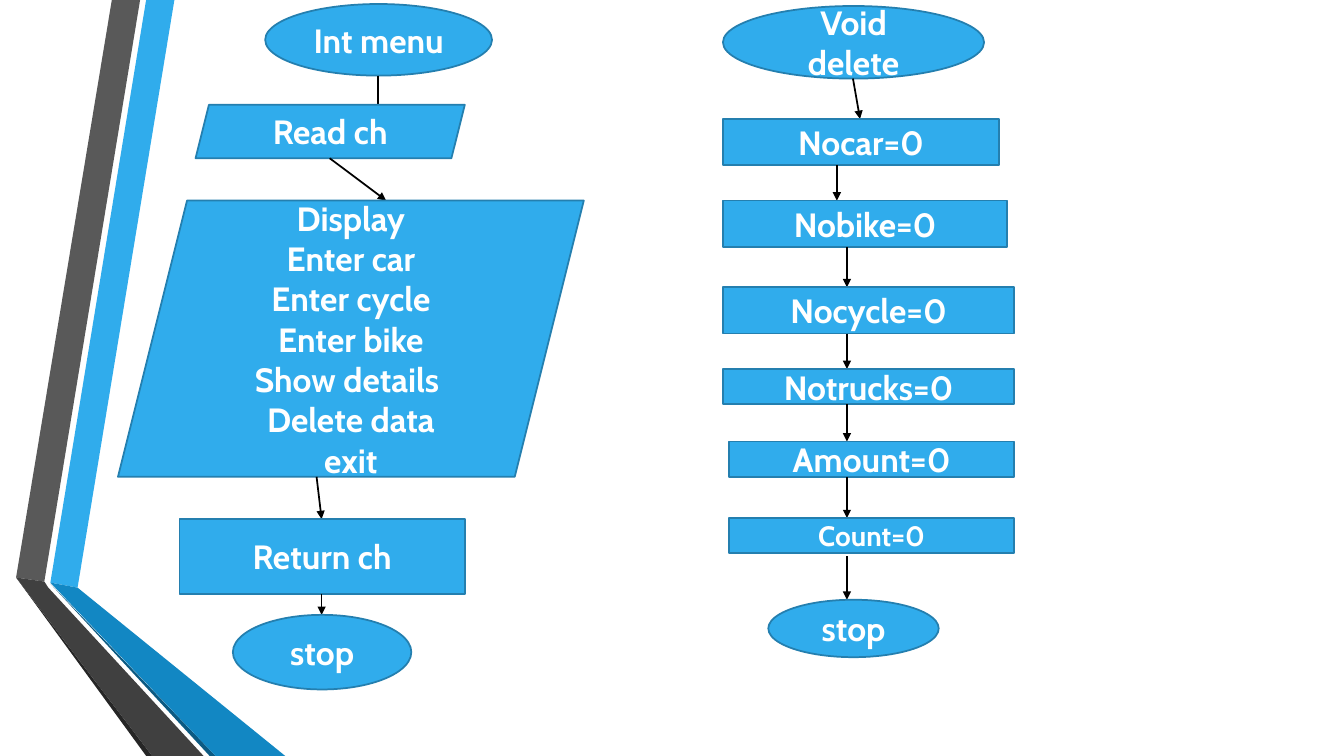
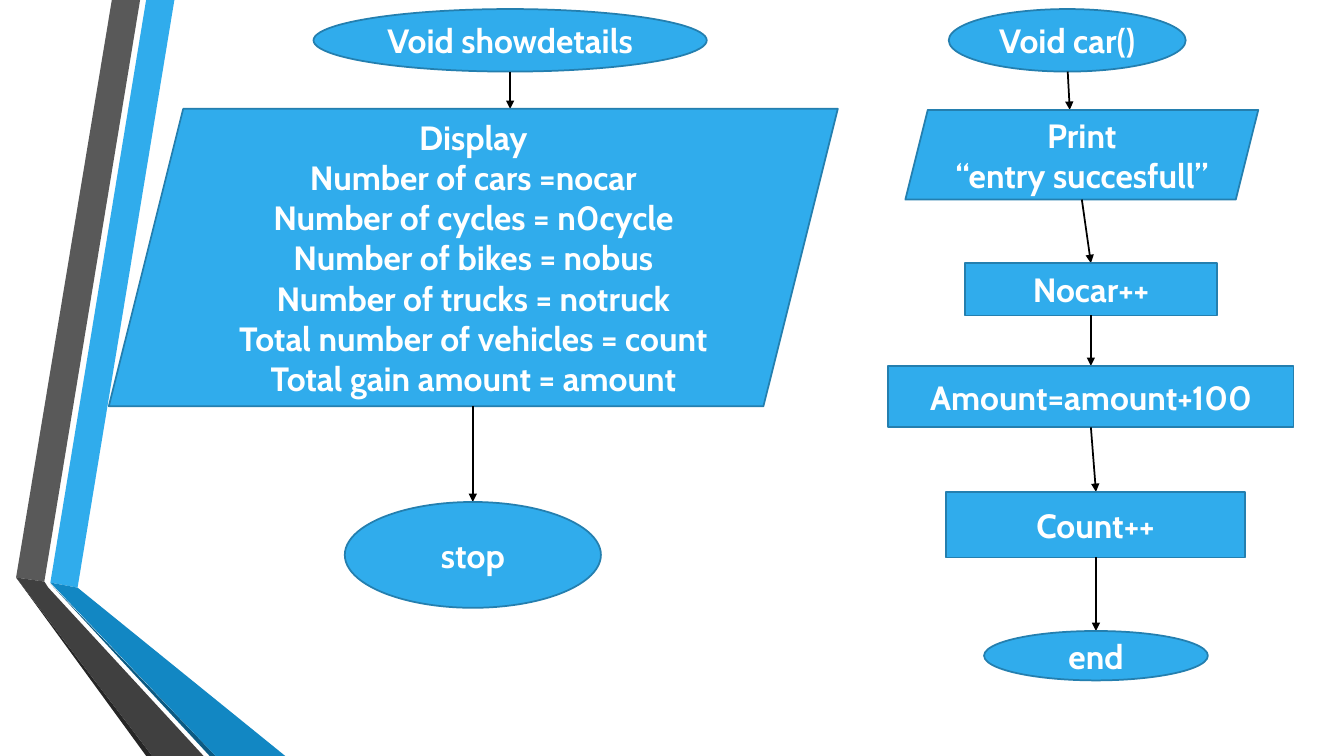
from dataclasses import dataclass

from lxml.etree import SubElement
from pptx import Presentation
from pptx.dml.color import RGBColor
from pptx.enum.shapes import MSO_CONNECTOR as Connector, MSO_SHAPE as Shape
from pptx.enum.text import MSO_ANCHOR as Anchor, PP_ALIGN as Align
from pptx.oxml.ns import qn
from pptx.util import Inches, Pt


@dataclass(frozen=True)
class Theme:
    font: str = "Cabin"
    size: int = 24
    small: int = 20
    line: float = 1.25
    box: str = "30ACEC"
    border: str = "247FAF"
    text: str = "FFFFFF"
    arrow: str = "000000"


@dataclass(frozen=True)
class Step:
    kind: Shape
    box: tuple
    lines: tuple
    link: tuple = ()
    gap: float = 0
    overlap: float = 0
    size: int = Theme.size


THEME = Theme()
OVAL, IO, RECT = Shape.OVAL, Shape.PARALLELOGRAM, Shape.RECTANGLE

BANDS = [
    ("30ACEC", [(0.5, 5.78), (0.77, 5.83), (1.73, 0), (1.45, 0)]),
    ("595959", [(1.39, 0), (1.11, 0), (0.16, 5.73), (0.44, 5.77)]),
    ("262626", [(0.16, 5.73), (1.45, 7.5), (1.51, 7.5)]),
    ("0C5A82", [(0.5, 5.79), (2.08, 7.5), (2.14, 7.5)]),
    ("1287C3", [(0.5, 5.78), (2.14, 7.5), (2.83, 7.5), (0.77, 5.83)]),
    ("404040", [(2.02, 7.5), (0.48, 5.83), (0.44, 5.77), (0.16, 5.73), (1.51, 7.5)]),
]

MENU = [
    Step(OVAL, (2.63, 0.04, 2.25, 0.71), ("Int menu",)),
    Step(IO, (1.94, 1.04, 2.67, 0.53), ("Read ch",), (3.75, 3.75), overlap=0.11),
    Step(IO, (1.17, 1.99, 4.62, 2.74),
         ("Display", "Enter car", "Enter cycle", "Enter bike", "Show details ",
          "Delete data", "exit"), (3.27, 3.83)),
    Step(RECT, (1.78, 5.15, 2.83, 0.74), ("Return ch",), (3.14, 3.19)),
    Step(OVAL, (2.31, 6.1, 1.77, 0.74), ("stop",), (3.19, 3.19)),
]

DELETE = [
    Step(OVAL, (7.17, 0.06, 2.59, 0.72), ("Void delete",)),
    Step(RECT, (7.17, 1.18, 2.74, 0.46), ("Nocar=0",), (8.46, 8.53)),
    Step(RECT, (7.17, 1.99, 2.82, 0.46), ("Nobike=0",), (8.3, 8.3)),
    Step(RECT, (7.17, 2.85, 2.89, 0.46), ("Nocycle=0",), (8.4, 8.4)),
    Step(RECT, (7.17, 3.66, 2.89, 0.35), ("Notrucks=0",), (8.4, 8.4)),
    Step(RECT, (7.23, 4.38, 2.83, 0.35), ("Amount=0",), (8.4, 8.4)),
    Step(RECT, (7.23, 5.14, 2.83, 0.35), ("Count=0",), (8.4, 8.4), size=THEME.small),
    Step(OVAL, (7.62, 5.95, 1.69, 0.57), ("stop",), (8.4, 8.4), gap=0.03),
]

SHOW_DETAILS = [
    Step(OVAL, (3.11, 0.09, 3.9, 0.62), ("Void showdetails",)),
    Step(IO, (1.08, 1.08, 7.23, 2.95),
         ("Display", "Number of cars =nocar", "Number of cycles = n0cycle",
          "Number of bikes = nobus", "Number of trucks = notruck",
          "Total number of vehicles = count", "Total gain amount = amount"),
         (5.06, 5.06)),
    Step(OVAL, (3.42, 4.98, 2.54, 1.05), ("stop",), (4.69, 4.69)),
]

CAR = [
    Step(OVAL, (9.41, 0.09, 2.35, 0.62), ("Void car()",)),
    Step(IO, (8.98, 1.09, 3.5, 0.89), ("Print", "“entry succesfull”"), (10.59, 10.61)),
    Step(RECT, (9.57, 2.61, 2.5, 0.52), ("Nocar++",), (10.73, 10.82)),
    Step(RECT, (8.81, 3.63, 4.02, 0.61), ("Amount=amount+100",), (10.82, 10.82)),
    Step(RECT, (9.38, 4.88, 2.97, 0.65), ("Count++",), (10.82, 10.87)),
    Step(OVAL, (9.76, 6.26, 2.22, 0.49), ("end",), (10.87, 10.87)),
]

SLIDES = [(MENU, DELETE), (SHOW_DETAILS, CAR)]


def rgb(value):
    return RGBColor.from_string(value)


def paint(sp, color):
    sp.shadow.inherit = False
    sp.fill.solid()
    sp.fill.fore_color.rgb = rgb(color)


def add_bands(s, layout):
    for ph in list(layout.placeholders):
        layout.shapes.element.remove(ph.element)
    bands = []
    for color, points in BANDS:
        start, *rest = [(Inches(x), Inches(y)) for x, y in points]
        builder = s.shapes.build_freeform(*start)
        builder.add_line_segments(rest, close=True)
        sp = builder.convert_to_shape()
        paint(sp, color)
        sp.line.fill.background()
        bands.append(sp)
    for sp in bands:
        layout.shapes.element.append(sp.element)


def add_arrow(s, x1, y1, x2, y2):
    arrow = s.shapes.add_connector(
        Connector.STRAIGHT, Inches(x1), Inches(y1), Inches(x2), Inches(y2))
    arrow.line.color.rgb = rgb(THEME.arrow)
    arrow.line.width = Pt(THEME.line)
    SubElement(arrow.line._get_or_add_ln(), qn("a:tailEnd"), type="triangle")
    SubElement(arrow.element.spPr, qn("a:effectLst"))


def add_box(s, step):
    sp = s.shapes.add_shape(step.kind, *map(Inches, step.box))
    paint(sp, THEME.box)
    sp.line.color.rgb = rgb(THEME.border)
    sp.line.width = Pt(THEME.line)
    tf = sp.text_frame
    tf.word_wrap = True
    tf.vertical_anchor = Anchor.MIDDLE
    tf.text = "\n".join(step.lines)
    for p in tf.paragraphs:
        p.alignment = Align.CENTER
        p.font.name = THEME.font
        p.font.size = Pt(step.size)
        p.font.bold = True
        p.font.color.rgb = rgb(THEME.text)


def add_flow(s, steps):
    bottom = 0
    for step in steps:
        _, top, _, height = step.box
        if step.link:
            x1, x2 = step.link
            add_arrow(s, x1, bottom + step.gap, x2, top + step.overlap)
        add_box(s, step)
        bottom = top + height


def main():
    prs = Presentation()
    prs.slide_width, prs.slide_height = Inches(13.33), Inches(7.5)
    layout = prs.slide_layouts[6]
    for i, flows in enumerate(SLIDES):
        s = prs.slides.add_slide(layout)
        if i == 0:
            add_bands(s, layout)
        for steps in flows:
            add_flow(s, steps)
    prs.save("out.pptx")


if __name__ == "__main__":
    main()
